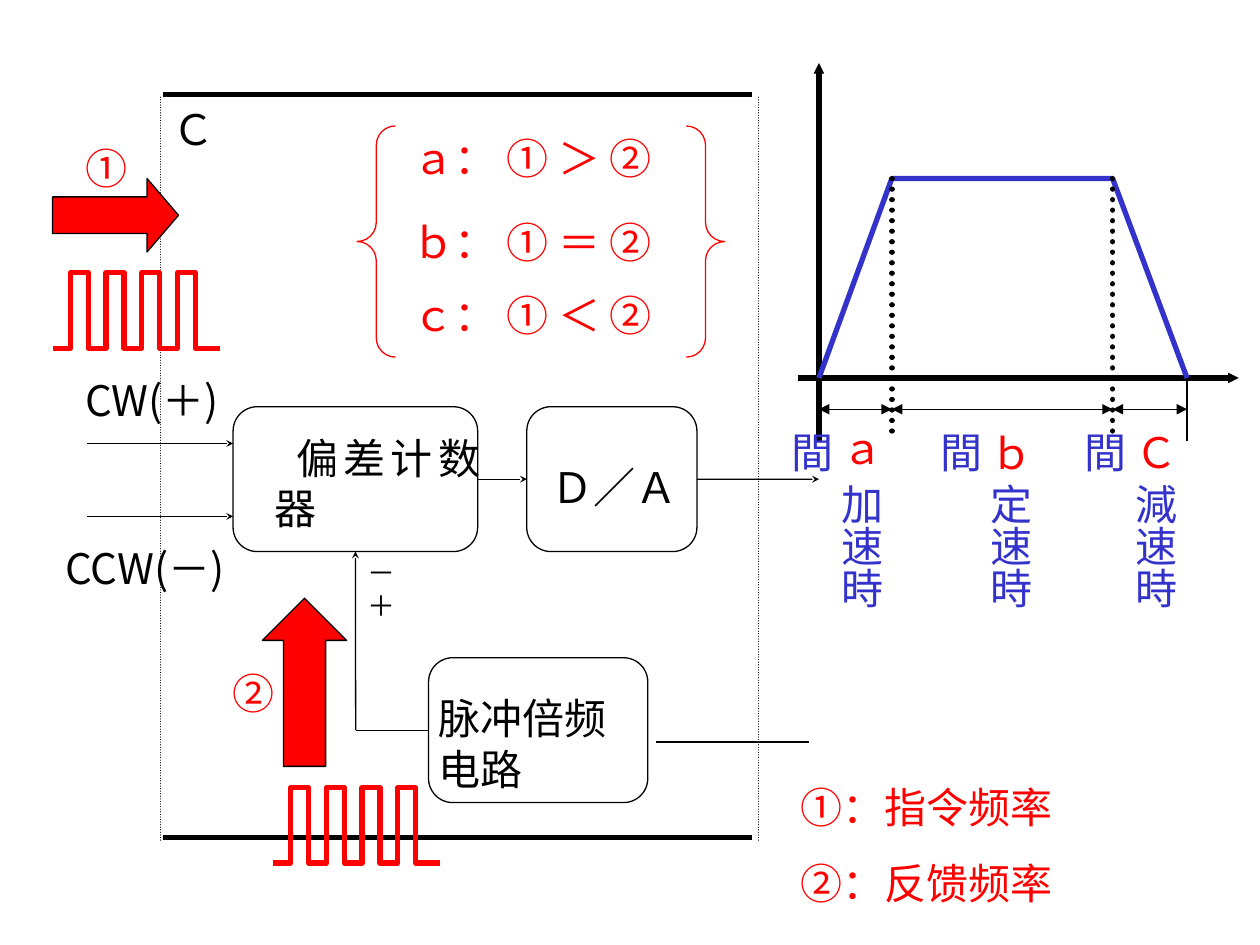
from dataclasses import dataclass

from lxml import etree
from pptx import Presentation
from pptx.dml.color import RGBColor
from pptx.enum.dml import MSO_LINE
from pptx.enum.shapes import MSO_CONNECTOR, MSO_SHAPE
from pptx.enum.text import MSO_AUTO_SIZE, PP_ALIGN
from pptx.oxml.ns import qn
from pptx.util import Cm, Pt

STRAIGHT = MSO_CONNECTOR.STRAIGHT
DOTTED = MSO_LINE.ROUND_DOT
JUSTIFY = PP_ALIGN.JUSTIFY
GROW, FIXED = MSO_AUTO_SIZE.SHAPE_TO_FIT_TEXT, MSO_AUTO_SIZE.NONE
ROUNDED, BRACES = MSO_SHAPE.ROUNDED_RECTANGLE, MSO_SHAPE.DOUBLE_BRACE
RIGHT_ARROW, UP_ARROW = MSO_SHAPE.RIGHT_ARROW, MSO_SHAPE.UP_ARROW
LEFT, BOTTOM, RIGHT = 1, 2, 3


@dataclass(frozen=True)
class Theme:
    black: RGBColor = RGBColor(0, 0, 0)
    white: RGBColor = RGBColor(255, 255, 255)
    red: RGBColor = RGBColor(255, 0, 0)
    blue: RGBColor = RGBColor(0x33, 0x33, 0xCC)
    sans: str = "Noto Sans CJK JP"
    serif: str = "TeX Gyre Schola"
    body: int = 24
    small: int = 16
    thin: float = 0.75
    thick: float = 3


THEME = Theme()


@dataclass(frozen=True)
class Box:
    """A region in centimetres; parts are placed relative to its corner."""
    left: float
    top: float
    width: float
    height: float

    def inner(self, x, y, width, height):
        return Box(self.left + x, self.top + y, width, height)

    def point(self, x, y):
        return Cm(self.left + x), Cm(self.top + y)

    def frame(self):
        return Cm(self.left), Cm(self.top), Cm(self.width), Cm(self.height)


def style_line(shape, color, width):
    shape.line.color.rgb = color
    shape.line.width = Pt(width)


def add_line(slide, box, start, end, width=THEME.thin, dash=None,
             head=None, tail=None, arrow_size="med"):
    line = slide.shapes.add_connector(STRAIGHT, *box.point(*start), *box.point(*end))
    style_line(line, THEME.black, width)
    properties = line._element.spPr
    outline = properties.find(qn("a:ln"))
    if dash:
        line.line.dash_style = dash
        outline.set("cap", "rnd")
    for tag, kind in (("a:headEnd", head), ("a:tailEnd", tail)):
        if kind:
            etree.SubElement(outline, qn(tag), type=kind, w=arrow_size, len=arrow_size)
    etree.SubElement(properties, qn("a:effectLst"))
    return line


def add_preset(slide, box, kind, adjustments, fill, line_color=THEME.black):
    shape = slide.shapes.add_shape(kind, *box.frame())
    shape.shadow.inherit = False
    for index, value in enumerate(adjustments):
        shape.adjustments[index] = value
    if fill is None:
        shape.fill.background()
    else:
        shape.fill.solid()
        shape.fill.fore_color.rgb = fill
    style_line(shape, line_color, THEME.thin)
    return shape


def add_polyline(slide, box, points, color):
    places = [box.point(*point) for point in points]
    builder = slide.shapes.build_freeform(*places[0])
    builder.add_line_segments(places[1:], close=False)
    shape = builder.convert_to_shape()
    shape.shadow.inherit = False
    shape.fill.background()
    style_line(shape, color, THEME.thick)


def add_text(slide, box, lines, size=THEME.body, font=THEME.sans, align=None,
             space=0, grow=False, indent=0, vertical=False):
    """Each line is a list of (text, color) runs."""
    frame = slide.shapes.add_textbox(*box.frame()).text_frame
    frame.word_wrap = True
    frame.auto_size = GROW if grow else FIXED
    if vertical:
        frame._txBody.bodyPr.set("vert", "eaVert")
        frame.margin_left = frame.margin_right = Cm(0.13)
        frame.margin_top = frame.margin_bottom = Cm(0.25)
    for number, runs in enumerate(lines):
        paragraph = frame.add_paragraph() if number else frame.paragraphs[0]
        paragraph.alignment = align
        paragraph.space_before = Pt(space)
        if indent:
            paragraph._p.get_or_add_pPr().set("indent", str(Cm(indent)))
        for text, color in runs:
            run = paragraph.add_run()
            run.text = text
            run.font.size = Pt(size)
            run.font.name = font
            run.font.color.rgb = color
            etree.SubElement(run._r.get_or_add_rPr(), qn("a:ea"), typeface=THEME.sans)


def add_note(slide, box, *texts, color=THEME.red):
    add_text(slide, box, [[(text, color)] for text in texts], space=15, grow=True)


def draw_controller(slide, box):
    def block(*place):
        return add_preset(slide, box.inner(*place), ROUNDED, [0.167], THEME.white)

    def signal(start, end):
        return add_line(slide, box, start, end, tail="stealth", arrow_size="sm")

    def label(place, *texts, **options):
        add_text(slide, box.inner(*place), [[(text, THEME.black)] for text in texts],
                 **options)

    # Frame
    for x in (2.16, 14.22):
        add_line(slide, box, (x, 0.06), (x, 15.04), dash=DOTTED)
    for y in (0, 14.99):
        add_line(slide, box, (2.21, y), (14.09, y), THEME.thick)

    # Blocks
    counter = block(3.63, 6.3, 4.93, 2.92)
    converter = block(9.55, 6.3, 3.43, 2.92)
    multiplier = block(7.57, 11.36, 4.42, 2.92)

    # Signals
    for y in (7.04, 8.51):
        signal((0.68, y), (3.63, y))
    link = signal((8.56, 7.76), (9.55, 7.76))
    link.begin_connect(counter, RIGHT)
    link.end_connect(converter, LEFT)
    signal((12.98, 7.76), (15.44, 7.76)).begin_connect(converter, RIGHT)
    add_line(slide, box, (7.57, 12.82), (6.1, 12.82)).begin_connect(multiplier, LEFT)
    signal((6.1, 12.82), (6.1, 9.22)).end_connect(counter, BOTTOM)
    add_line(slide, box, (12.16, 13.06), (15.24, 13.06))

    # Labels
    add_note(slide, box.inner(2.16, 0.06, 2.39, 1.27), "Ｃ", color=THEME.black)
    label((4.21, 6.69, 4.65, 2.21), "偏差计数器", align=JUSTIFY, indent=0.45)
    label((9.8, 7.27, 3.73, 1.14), "Ｄ／Ａ", align=JUSTIFY, font=THEME.serif)
    label((7.52, 11.94, 4.55, 2.03), "脉冲倍频电路")
    label((0.4, 5.52, 3.94, 1.45), "CW(＋)", align=JUSTIFY)
    label((0, 8.92, 4.7, 1.27), "CCW(－)", align=JUSTIFY)
    label((6.09, 9.17, 1.85, 2.18), "－", "＋", align=JUSTIFY,
          size=THEME.small, font=THEME.serif)


def draw_pulses(slide, box, edges=8, step=0.36):
    levels = (box.height, 0)
    points = [(0, box.height)]
    for edge in range(1, edges + 1):
        points += [(edge * step, levels[(edge - 1) % 2]), (edge * step, levels[edge % 2])]
    points.append((box.width, box.height))
    add_polyline(slide, box, points, THEME.red)


def draw_comparison(slide, box):
    add_preset(slide, box, BRACES, [0.083], None, THEME.red)
    for y, name, sign in ((0, "ａ", "＞"), (1.7, "ｂ", "＝"), (3.18, "ｃ", "＜")):
        add_note(slide, box.inner(0.86, y, 2.54, 1.27), f"{name}：")
        add_note(slide, box.inner(2.77, y, 3.81, 1.27), f"① {sign} ②")


def draw_speed_profile(slide, box):
    start, cruise, brake, stop = times = (0.43, 1.9, 6.35, 7.85)
    peak, base, span, foot = 2.33, 6.35, 6.98, box.height

    # Axes and profile
    for tail_point, tip in (((start, foot), (start, 0)), ((0, base), (box.width, base))):
        add_line(slide, box, tail_point, tip, THEME.thick, tail="triangle", arrow_size="sm")
    add_polyline(slide, box, [(start, base), (cruise, peak), (brake, peak), (stop, base)],
                 THEME.blue)

    # Phase limits and spans
    for x in (cruise, brake):
        add_line(slide, box, (x, peak), (x, foot), THEME.thick, dash=DOTTED)
    add_line(slide, box, (stop, base), (stop, foot))
    for begin, end in zip(times, times[1:]):
        add_line(slide, box, (begin, span), (end, span), head="triangle", tail="triangle")

    # Phase names
    for x, name, phase in ((0.4, "ａ ", "加速時間"), (3.4, "ｂ ", "定速時間"),
                           (6.32, "Ｃ ", "減速時間")):
        add_text(slide, box.inner(x, 7.19, 1.52, 4.88),
                 [[(name, THEME.red), (phase, THEME.blue)]],
                 space=15, grow=True, vertical=True)


def draw_pulse_source(slide, arrow, kind, adjustments, number, mark, pulses):
    draw_pulses(slide, pulses)
    add_preset(slide, arrow, kind, adjustments, THEME.red)
    add_note(slide, number, mark)


def main():
    presentation = Presentation()
    presentation.slide_width, presentation.slide_height = Cm(25.4), Cm(19.05)
    slide = presentation.slides.add_slide(presentation.slide_layouts[6])

    draw_controller(slide, Box(1.07, 1.9, 15.24, 15.04))
    # Command pulses, then feedback pulses
    draw_pulse_source(slide, Box(1.06, 3.6, 2.54, 1.48), RIGHT_ARROW, [0.5, 0.428],
                      Box(1.48, 2.75, 1.48, 1.27), "①", Box(1.06, 5.5, 3.38, 1.52))
    draw_pulse_source(slide, Box(5.29, 12.06, 1.7, 3.39), UP_ARROW, [0.5, 0.5],
                      Box(4.44, 13.34, 1.48, 1.27), "②", Box(5.5, 15.88, 3.38, 1.52))
    draw_speed_profile(slide, Box(16.08, 1.27, 8.89, 7.62))
    draw_comparison(slide, Box(7.2, 2.54, 7.41, 4.66))
    add_note(slide, Box(15.88, 15.62, 8.69, 2.82), "①：指令频率", "②：反馈频率")

    presentation.save("out.pptx")


if __name__ == "__main__":
    main()
